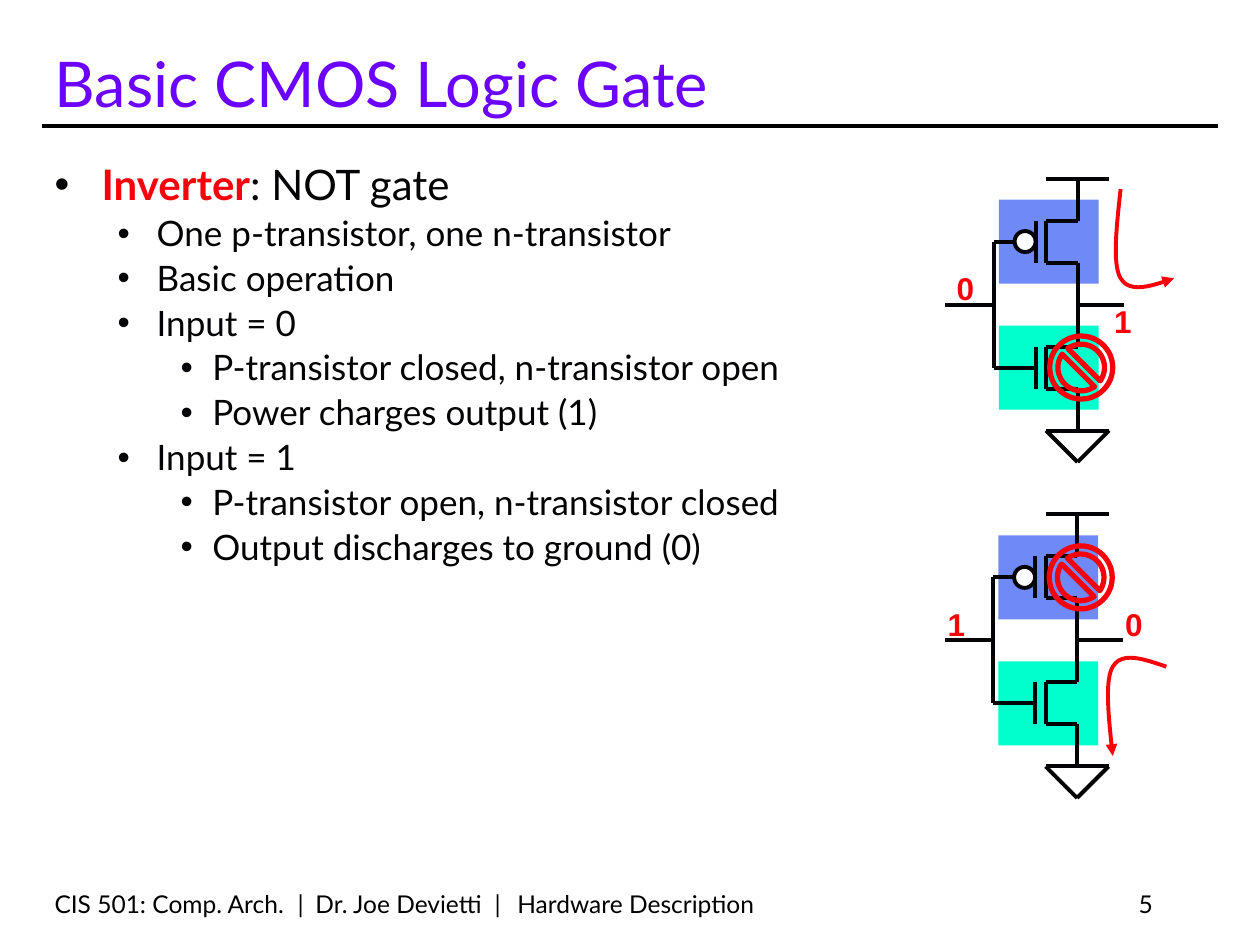
import dataclasses

import lxml.etree
import pptx
import pptx.dml.color
import pptx.enum.shapes
import pptx.enum.text
import pptx.oxml.ns
import pptx.util

Cm = pptx.util.Cm
Pt = pptx.util.Pt
SHAPE = pptx.enum.shapes.MSO_SHAPE
ANCHOR = pptx.enum.text.MSO_ANCHOR
ALIGN = pptx.enum.text.PP_ALIGN
STEP = 2.54 / 12


@dataclasses.dataclass(frozen=True)
class Theme:
    font: str = "Lato"
    mark: str = "Arial"
    black: str = "000000"
    ink: str = "030305"
    white: str = "FFFFFF"
    title: str = "6B02FF"
    red: str = "F7020B"
    blue: str = "6F89F7"
    green: str = "00FFCC"
    big: float = 36
    head: float = 24
    body: float = 20
    label: float = 18
    foot: float = 14
    line: float = 2.25
    thick: float = 3


def color(code):
    return pptx.dml.color.RGBColor.from_string(code)


def node(parent, tag, **values):
    return lxml.etree.SubElement(parent, pptx.oxml.ns.qn(tag), **values)


def bezier(a, b, c, d, count=12):
    for i in range(1, count + 1):
        t = i / count
        s = 1 - t
        yield tuple(s**3 * p + 3 * s * s * t * q + 3 * s * t * t * r + t**3 * u
                    for p, q, r, u in zip(a, b, c, d))


class Board:
    def __init__(self, deck, theme):
        self.theme = theme
        self.slide = deck.slides.add_slide(deck.slide_layouts[6])
        self.shapes = self.slide.shapes

    def style(self, run, size, code, font=None, bold=False):
        run.font.name = font or self.theme.font
        run.font.size = Pt(size)
        run.font.bold = bold
        run.font.color.rgb = color(code)

    def frame(self, x, y, w, h, wrap=True, anchor=ANCHOR.TOP):
        frame = self.shapes.add_textbox(Cm(x), Cm(y), Cm(w), Cm(h)).text_frame
        frame.word_wrap = wrap
        frame.vertical_anchor = anchor
        return frame

    def text(self, box, words, size, code, align=ALIGN.LEFT, tabs=()):
        frame = self.frame(*box, anchor=ANCHOR.BOTTOM)
        frame.text = words
        para = frame.paragraphs[0]
        para.alignment = align
        if tabs:
            stops = node(para._p.get_or_add_pPr(), "a:tabLst")
            for stop in tabs:
                node(stops, "a:tab", pos=str(Cm(stop)), algn="l")
        self.style(para.runs[0], size, code)

    def label(self, x, y, words):
        frame = self.frame(x, y, 0.86, 1.02, wrap=False)
        frame.text = words
        self.style(frame.paragraphs[0].runs[0], self.theme.label,
                   self.theme.red, self.theme.mark, True)

    def bullet(self, para, level):
        left, hang = ((0.95, 0.95), (2.06, 0.79), (3.18, 0.64))[level]
        para.level = level
        props = para._p.get_or_add_pPr()
        props.set("marL", str(Cm(left)))
        props.set("indent", str(-Cm(hang)))
        node(node(props, "a:buClr"), "a:srgbClr", val=self.theme.ink)
        node(props, "a:buFont", typeface=self.theme.mark)
        node(props, "a:buChar", char="•")
        para.line_spacing = 0.9

    def points(self, box, term, rest, items):
        frame = self.frame(*box)
        para = frame.paragraphs[0]
        para.text = term
        para.add_run().text = rest
        self.bullet(para, 0)
        self.style(para.runs[0], self.theme.head, self.theme.red, bold=True)
        self.style(para.runs[1], self.theme.head, self.theme.ink)
        for level, words in items:
            para = frame.add_paragraph()
            para.text = words
            self.bullet(para, level)
            para.space_before = Pt(4)
            self.style(para.runs[0], self.theme.body, self.theme.ink)

    def line(self, x1, y1, x2, y2, code):
        wire = self.shapes.add_connector(
            pptx.enum.shapes.MSO_CONNECTOR.STRAIGHT,
            Cm(x1), Cm(y1), Cm(x2), Cm(y2))
        wire.line.color.rgb = color(code)
        wire.line.width = Pt(self.theme.line)
        node(wire._element.spPr, "a:effectLst")

    def paint(self, shape, fill=None, edge=None, width=None):
        shape.shadow.inherit = False
        if fill:
            shape.fill.solid()
            shape.fill.fore_color.rgb = color(fill)
        else:
            shape.fill.background()
        if edge:
            shape.line.color.rgb = color(edge)
            shape.line.width = Pt(width or self.theme.line)
        else:
            shape.line.fill.background()

    def shape(self, kind, x, y, w, h, **look):
        shape = self.shapes.add_shape(kind, Cm(x), Cm(y), Cm(w), Cm(h))
        self.paint(shape, **look)
        return shape

    def curve(self, spots, end):
        spots = [(Cm(x), Cm(y)) for x, y in spots]
        trail = [*bezier(*spots[:4]), *bezier(*spots[3:])]
        form = self.shapes.build_freeform(*spots[0])
        form.add_line_segments(trail, close=False)
        shape = form.convert_to_shape()
        self.paint(shape, edge=self.theme.red)
        edge = shape._element.spPr.find(pptx.oxml.ns.qn("a:ln"))
        node(edge, end, type="triangle")

    def circuit(self, left, top, labels, ban, flip):
        theme = self.theme

        def at(x, y):
            return left + x * STEP, top + y * STEP

        def block(kind, x, y, w, h, **look):
            return self.shape(kind, *at(x, y), w * STEP, h * STEP, **look)

        block(SHAPE.RECTANGLE, 0.5, 14, 9.5, 8, fill=theme.green)
        block(SHAPE.RECTANGLE, 0.5, 2, 9.5, 8, fill=theme.blue)
        gate = [(8, 8, 8, 12), (5, 4, 5, 8), (8, 0, 8, 4), (4, 4, 4, 8),
                (5, 8, 8, 8), (5, 4, 8, 4), (4, 6, 0, 6)]
        ground = [(11, 24, 5, 24), (5, 24, 8, 27), (11, 24, 8, 27)]
        leads = [(0, 6, 0, 18), (12.4, 12, 8, 12), (11, 0, 5, 0), (0, 12, -4.6, 12)]
        wires = leads + ground
        for drop in (0, 12):
            wires += [(a, b + drop, c, d + drop) for a, b, c, d in gate]
        for a, b, c, d in wires:
            self.line(*at(a, b), *at(c, d), theme.ink)
        block(SHAPE.OVAL, 2, 5, 2, 2, fill=theme.white, edge=theme.ink)
        for x, y, words in labels:
            self.label(*at(x, y), words)

        flow = [(12.1, 1), (11.7, 4.6), (11.3, 8.2), (12.1, 9.5),
                (13, 11), (15.1, 10.2), (17.2, 9.5)]
        if flip:
            flow = [(x - 0.7, 24 - y) for x, y in flow]
        self.curve([at(x, y) for x, y in flow], "a:headEnd" if flip else "a:tailEnd")
        sign = block(SHAPE.NO_SYMBOL, 5.35, ban, 6, 6, edge=theme.red, width=theme.thick)
        sign.adjustments[0] = 0.13


def main():
    deck = pptx.Presentation()
    deck.slide_width, deck.slide_height = Cm(25.4), Cm(19.05)
    theme = Theme()
    board = Board(deck, theme)
    board.line(0.85, 2.54, 24.55, 2.54, theme.black)
    board.text((0.85, 17.78, 15.88, 0.85),
               "CIS 501: Comp. Arch.\t|\tDr. Joe Devietti\t|\tHardware Description",
               theme.foot, theme.black, tabs=(4.9, 5.26, 8.87, 9.33))
    board.text((18.2, 17.78, 5.29, 0.85), "5", theme.foot, theme.black, ALIGN.RIGHT)
    board.text((0.85, 0.64, 22.44, 1.9), "Basic CMOS Logic Gate", theme.big, theme.title)
    board.points((0.85, 3.18, 16.51, 14.18), "Inverter", ": NOT gate", [
        (1, "One p-transistor, one n-transistor"),
        (1, "Basic operation"),
        (1, "Input = 0"),
        (2, "P-transistor closed, n-transistor open"),
        (2, "Power charges output (1)"),
        (1, "Input = 1"),
        (2, "P-transistor open, n-transistor closed"),
        (2, "Output discharges to ground (0)"),
    ])
    board.circuit(20.03, 3.6, [(-4.7, 8, "0"), (10.3, 11.2, "1")], 15, False)
    board.circuit(20.02, 10.37, [(-5.5, 8, "1"), (11.4, 8, "0")], 3, True)
    deck.save("out.pptx")


if __name__ == "__main__":
    main()
